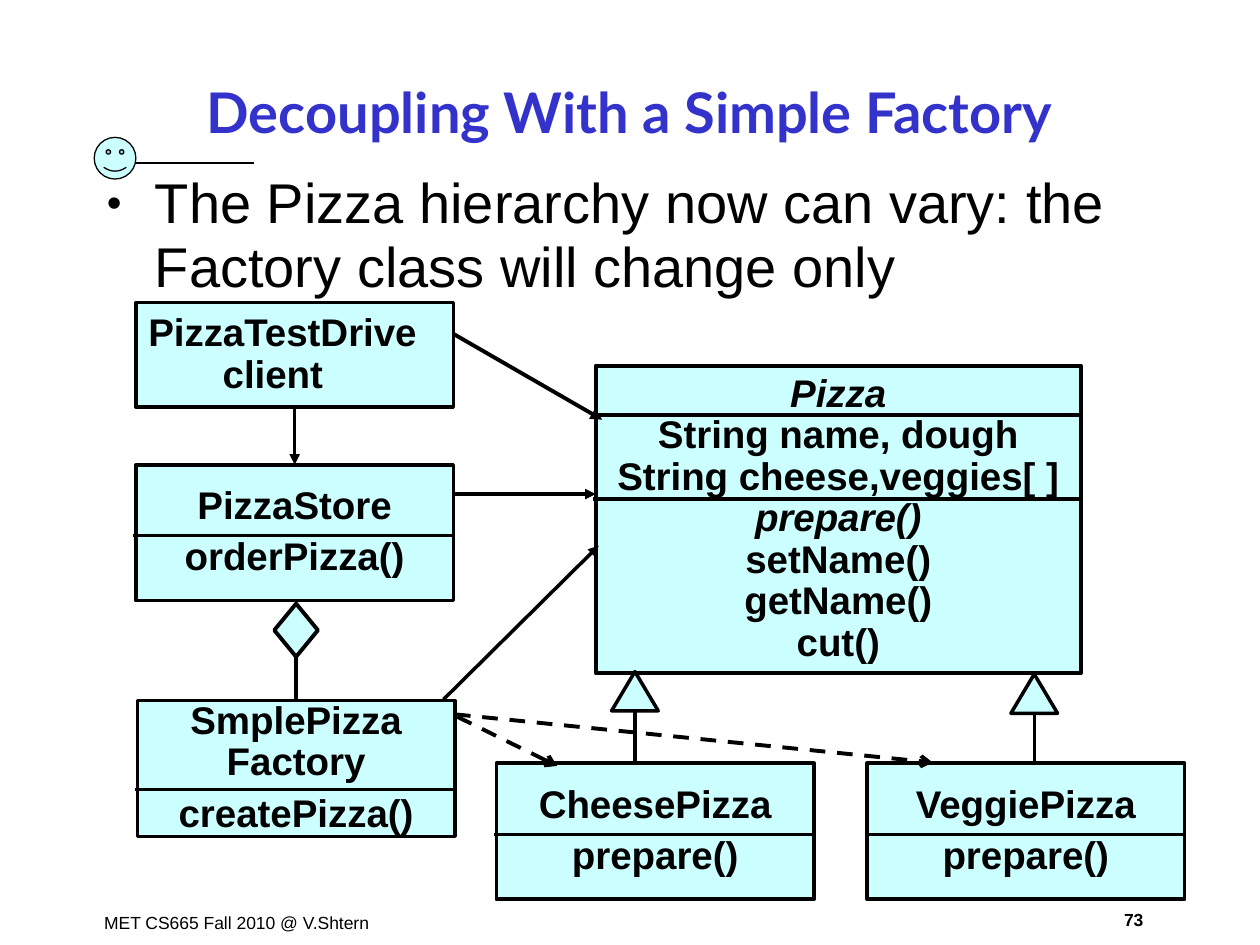
from lxml import etree
from pptx import Presentation
from pptx import util as u
from pptx.dml.color import RGBColor
from pptx.enum import dml, shapes, text
from pptx.oxml.ns import qn

COLORS = {"title": "3333CC", "ink": "000000", "box": "CCFFFF"}
CLASS_FONT = {"name": "Arial", "size": u.Pt(22), "bold": True}
CLASS_PARAGRAPH = {"alignment": text.PP_ALIGN.CENTER, "line_spacing": 0.9,
                   "space_before": u.Pt(0)}
METHOD_GAP = {"space_before": u.Pt(5.5)}
OVERHANG = 0.05  # dividers start a little left of their box


def color(name):
    return RGBColor.from_string(COLORS[name])


def apply(target, values):
    for name, value in values.items():
        setattr(target, name, value)


def place(shape, left, top, width, height):
    apply(shape, {"left": u.Cm(left), "top": u.Cm(top),
                  "width": u.Cm(width), "height": u.Cm(height)})


def format_paragraph(paragraph, wording, paragraph_format, font_format, color_name="ink"):
    paragraph.text = wording
    apply(paragraph, paragraph_format)
    apply(paragraph.font, font_format)
    paragraph.font.color.rgb = color(color_name)


def add_bullet(paragraph):
    properties = paragraph._p.get_or_add_pPr()
    properties.set("marL", str(u.Cm(0.97)))
    properties.set("indent", str(-u.Cm(0.97)))
    bullet_color = etree.SubElement(properties, qn("a:buClr"))
    etree.SubElement(bullet_color, qn("a:srgbClr")).set("val", COLORS["ink"])
    for tag, name, value in (("a:buSzPct", "val", "75000"),
                             ("a:buFont", "typeface", "Arial"),
                             ("a:buChar", "char", "•")):
        etree.SubElement(properties, qn(tag)).set(name, value)


def fill_placeholder(placeholder, wording, position, font_format, paragraph_format,
                     color_name, anchor, bullet=False):
    place(placeholder, *position)
    apply(placeholder.text_frame, {"vertical_anchor": anchor, "word_wrap": True,
                                   "auto_size": text.MSO_AUTO_SIZE.NONE})
    paragraph = placeholder.text_frame.paragraphs[0]
    if bullet:
        add_bullet(paragraph)
    format_paragraph(paragraph, wording, paragraph_format, font_format, color_name)


def add_label(slide, wording, position, alignment, bold=False):
    label = slide.shapes.add_textbox(*(u.Cm(value) for value in position))
    label.text_frame.word_wrap = True
    format_paragraph(label.text_frame.paragraphs[0], wording, {"alignment": alignment},
                     {"name": "Arial", "size": u.Pt(10), "bold": bold})


def add_symbol(slide, kind, position, weight):
    symbol = slide.shapes.add_shape(kind, *(u.Cm(value) for value in position))
    symbol.shadow.inherit = False
    symbol.fill.solid()
    symbol.fill.fore_color.rgb = color("box")
    symbol.line.color.rgb = color("ink")
    symbol.line.width = u.Pt(weight)
    return symbol


def add_line(slide, start, end, weight=2, head=None, dashed=False):
    line = slide.shapes.add_connector(shapes.MSO_CONNECTOR.STRAIGHT,
                                      *(u.Cm(value) for value in (*start, *end)))
    line.line.color.rgb = color("ink")
    line.line.width = u.Pt(weight)
    if dashed:
        line.line.dash_style = dml.MSO_LINE.DASH
    if head:
        etree.SubElement(line.line._get_or_add_ln(), qn("a:tailEnd")).set("type", head)
    etree.SubElement(line._element.spPr, qn("a:effectLst"))
    return line


def add_class(slide, position, rows, weight=2, dividers=(), divider_weight=2):
    """Each row is a wording with its own paragraph and font changes."""
    left, top, width, _ = position
    box = add_symbol(slide, shapes.MSO_SHAPE.RECTANGLE, position, weight)
    frame = box.text_frame
    apply(frame, {"word_wrap": False, "vertical_anchor": text.MSO_ANCHOR.MIDDLE})
    for number, (wording, paragraph_change, font_change) in enumerate(rows):
        paragraph = frame.add_paragraph() if number else frame.paragraphs[0]
        format_paragraph(paragraph, wording, CLASS_PARAGRAPH | paragraph_change,
                         CLASS_FONT | font_change)
    for offset in dividers:
        add_line(slide, (left - OVERHANG, top + offset), (left + width, top + offset),
                 divider_weight)
    return box


def add_inheritance(slide, center, top, bottom):
    width, height = 0.94, 0.79
    add_symbol(slide, shapes.MSO_SHAPE.ISOSCELES_TRIANGLE,
               (center - width / 2, top, width, height), 2)
    add_line(slide, (center, top + height), (center, bottom))


def main():
    presentation = Presentation()
    presentation.slide_width, presentation.slide_height = u.Cm(25.4), u.Cm(19.05)
    slide = presentation.slides.add_slide(presentation.slide_layouts[1])

    # Footer and title ornament
    add_label(slide, "MET CS665 Fall 2010 @ V.Shtern", (1.85, 18.26, 6.12, 0.69),
              text.PP_ALIGN.LEFT)
    add_label(slide, "73", (22.17, 18.19, 1.37, 0.69), text.PP_ALIGN.CENTER, bold=True)
    add_symbol(slide, shapes.MSO_SHAPE.SMILEY_FACE, (1.9, 2.77, 0.84, 0.84), 0.75)
    add_line(slide, (2.74, 3.28), (5.13, 3.28), 1)

    # Title and body
    fill_placeholder(slide.shapes.title, "Decoupling With a Simple Factory",
                     (1.9, 1.22, 21.59, 2.03),
                     {"name": "Lato", "size": u.Pt(32), "bold": True},
                     {"alignment": text.PP_ALIGN.CENTER}, "title", text.MSO_ANCHOR.MIDDLE)
    fill_placeholder(slide.placeholders[1],
                     "The Pizza hierarchy now can vary: the Factory class will change only",
                     (1.9, 3.35, 21.59, 14.63), {"name": "Arial", "size": u.Pt(32)},
                     {"line_spacing": 0.95, "space_before": u.Pt(0)},
                     "ink", text.MSO_ANCHOR.TOP, bullet=True)

    # Classes
    left_aligned = {"alignment": text.PP_ALIGN.LEFT}
    italic = {"italic": True}
    client = add_class(slide, (2.74, 6.1, 6.4, 2.11),
                       [("PizzaTestDrive", left_aligned, {}), ("client", left_aligned, {})])
    client.text_frame.paragraphs[1]._p.get_or_add_pPr().set("marL", str(u.Cm(1.5)))
    add_class(slide, (12.01, 7.37, 9.78, 6.2),
              [("Pizza", {}, italic), ("String name, dough", {}, {}),
               ("String cheese,veggies[ ]", {}, {}), ("prepare()", {}, italic),
               ("setName()", {}, {}), ("getName()", {}, {}), ("cut()", {}, {})],
              2.25, (0.99, 2.69), 2.25)
    store = add_class(slide, (2.74, 9.37, 6.4, 2.74),
                      [("PizzaStore", {}, {}), ("orderPizza()", METHOD_GAP, {})],
                      dividers=(1.43,))
    for name, left in (("CheesePizza", 10.01), ("VeggiePizza", 17.48)):
        add_class(slide, (left, 15.39, 6.4, 2.74),
                  [(name, {}, {}), ("prepare()", METHOD_GAP, {})], 2.25, (1.43,))
    factory = add_class(slide, (2.77, 14.12, 6.4, 2.74),
                        [("SmplePizza", {}, {}), ("Factory", {}, {}),
                         ("createPizza()", METHOD_GAP, {})], dividers=(1.8,))

    # Inheritance and aggregation
    add_inheritance(slide, 12.8, 13.54, 15.42)
    add_inheritance(slide, 20.85, 13.59, 15.39)
    diamond = add_symbol(slide, shapes.MSO_SHAPE.FLOWCHART_DECISION,
                         (5.53, 12.17, 0.88, 1.07), 2.25)
    aggregation = add_line(slide, (5.97, 13.24), (5.97, 14.12), 2.25)
    aggregation.begin_connect(diamond, 2)
    aggregation.end_connect(factory, 0)

    # Uses and creates
    client_use = add_line(slide, (5.94, 8.21), (5.94, 9.37), head="triangle")
    client_use.begin_connect(client, 2)
    client_use.end_connect(store, 0)
    for start, end, weight in (((8.94, 14.1), (12.07, 11), 2),
                               ((9.14, 9.96), (12.01, 9.96), 2),
                               ((9.14, 6.73), (12.14, 8.46), 2.25)):
        add_line(slide, start, end, weight, "triangle")
    for start, end in (((9.17, 14.4), (18.8, 15.37)), ((9.22, 14.45), (11.23, 15.44))):
        add_line(slide, start, end, 2.25, "arrow", dashed=True)

    presentation.save("out.pptx")


if __name__ == "__main__":
    main()
